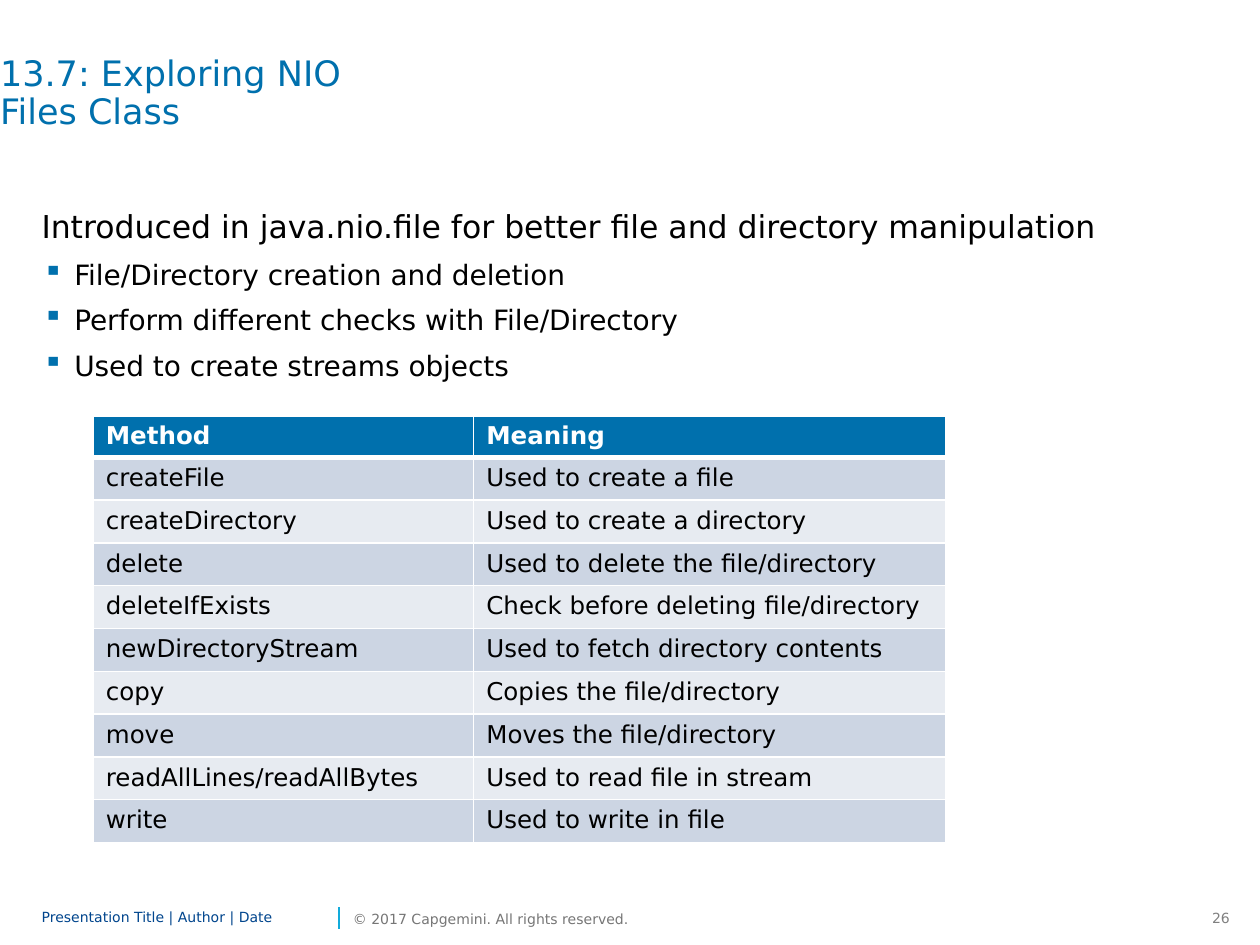
from copy import deepcopy

from lxml import etree
from pptx import Presentation
from pptx.dml.color import RGBColor
from pptx.enum.shapes import MSO_CONNECTOR
from pptx.enum.text import MSO_ANCHOR, MSO_AUTO_SIZE, PP_ALIGN
from pptx.oxml.ns import qn
from pptx.util import Inches, Pt

LEFT, RIGHT = PP_ALIGN.LEFT, PP_ALIGN.RIGHT
TOP, MIDDLE = MSO_ANCHOR.TOP, MSO_ANCHOR.MIDDLE
NO_FIT = MSO_AUTO_SIZE.NONE
STRAIGHT = MSO_CONNECTOR.STRAIGHT

FONT = "DejaVu Sans"
BLUE, WHITE, BLACK = "0070AD", "FFFFFF", "000000"
BANDS = "CCD5E3", "E7EBF1"

LEAD = "Introduced in java.nio.file for better file and directory manipulation"
POINTS = (
    "File/Directory creation and deletion",
    "Perform different checks with File/Directory",
    "Used to create streams objects",
)
ROWS = (
    ("Method", "Meaning"),
    ("createFile", "Used to create a file"),
    ("createDirectory", "Used to create a directory"),
    ("delete", "Used to delete the file/directory"),
    ("deleteIfExists", "Check before deleting file/directory"),
    ("newDirectoryStream", "Used to fetch directory contents"),
    ("copy", "Copies the file/directory"),
    ("move", "Moves the file/directory"),
    ("readAllLines/readAllBytes", "Used to read file in stream"),
    ("write", "Used to write in file"),
)


def color(code):
    """Turn a hex string into a colour."""
    return RGBColor.from_string(code)


def tint(parent, code):
    """Add a plain colour element to an XML parent."""
    etree.SubElement(parent, qn("a:srgbClr"), val=code)


def mark(para, code, left, hang):
    """Give a paragraph a square bullet with a hanging indent."""
    props = para._p.get_or_add_pPr()
    props.set("marL", str(Inches(left)))
    props.set("indent", str(Inches(-hang)))
    tint(etree.SubElement(props, qn("a:buClr")), code)
    etree.SubElement(props, qn("a:buChar"), char="▪")


def put(frame, text, size=14, fill=BLACK, bold=False, align=LEFT,
        line=None, after=None, bullet=None):
    """Write one formatted paragraph into a text frame."""
    para = frame.paragraphs[0]
    if para.text:
        para = frame.add_paragraph()
    para.text = text
    para.alignment = align
    if line:
        para.line_spacing = line
    if after:
        para.space_after = Pt(after)
    if bullet:
        mark(para, bullet, 0.26, 0.25)
    for run in para.runs:
        font = run.font
        font.name, font.size, font.bold = FONT, Pt(size), bold
        font.color.rgb = color(fill)
    for gap in para._p.findall(qn("a:br")):
        gap.append(deepcopy(para.runs[0]._r.rPr))


def edge(cell, side, width):
    """Draw one white border of a table cell."""
    line = etree.SubElement(cell._tc.get_or_add_tcPr(), qn(f"a:{side}"),
                            w=str(Pt(width)))
    tint(etree.SubElement(line, qn("a:solidFill")), WHITE)


class Deck:
    """Hold the style and the current slide."""

    def __init__(self):
        """Start a deck with one title-only slide."""
        self.show = Presentation()
        self.show.slide_width, self.show.slide_height = Inches(10), Inches(7.5)
        self.slide = self.show.slides.add_slide(self.show.slide_layouts[5])
        self.shapes = self.slide.shapes

    def title(self, text, x, y, w, h):
        """Place and fill the title."""
        box = self.shapes.title
        box.left, box.top, box.width, box.height = map(Inches, (x, y, w, h))
        frame = self.frame(box, TOP, 0, 0, True)
        put(frame, text, size=20, fill=BLUE, line=0.9)

    def frame(self, box, anchor, side, rim, wrap):
        """Set up the text frame of a shape."""
        frame = box.text_frame
        frame.auto_size, frame.word_wrap = NO_FIT, wrap
        frame.vertical_anchor = anchor
        frame.margin_left = frame.margin_right = Inches(side)
        frame.margin_top = frame.margin_bottom = Inches(rim)
        return frame

    def box(self, x, y, w, h, anchor=TOP, side=0, rim=0, wrap=True):
        """Add a text box and return its frame."""
        box = self.shapes.add_textbox(*map(Inches, (x, y, w, h)))
        return self.frame(box, anchor, side, rim, wrap)

    def line(self, x1, y1, x2, y2, fill):
        """Add a thin straight line."""
        line = self.shapes.add_connector(
            STRAIGHT, *map(Inches, (x1, y1, x2, y2)))
        line.line.color.rgb, line.line.width = color(fill), Pt(1)
        etree.SubElement(line._element.spPr, qn("a:effectLst"))

    def table(self, rows, x, y, cols, head, high):
        """Add a banded table with a header row."""
        tall = head + high * (len(rows) - 1)
        grid = self.shapes.add_table(
            len(rows), len(cols),
            *map(Inches, (x, y, sum(cols), tall))).table
        for col, wide in zip(grid.columns, cols):
            col.width = Inches(wide)
        for r, row in enumerate(rows):
            top = r == 0
            grid.rows[r].height = Inches(head if top else high)
            for c, text in enumerate(row):
                cell = grid.cell(r, c)
                for side in ("lnL", "lnR", "lnT", "lnB"):
                    thick = (top and side == "lnB") or (r == 1 and side == "lnT")
                    edge(cell, side, 3 if thick else 1)
                cell.fill.solid()
                cell.fill.fore_color.rgb = color(
                    BLUE if top else BANDS[(r - 1) % 2])
                put(cell.text_frame, text, bold=top,
                    fill=WHITE if top else BLACK)


def main():
    """Build the slide and save it."""
    deck = Deck()
    deck.title("13.7: Exploring NIO \vFiles Class", 0, 0.45, 9.33, 0.94)

    body = deck.box(0.33, 1.64, 9.67, 1.5)
    put(body, LEAD, size=18, line=Pt(22), after=6)
    for point in POINTS:
        put(body, point, size=16, line=Pt(20), after=6, bullet=BLUE)

    deck.table(ROWS, 0.74, 3.3, (3.02, 3.75), 0.28, 0.34)

    put(deck.box(0.33, 7.17, 2.32, 0.24, MIDDLE),
        "Presentation Title | Author | Date", size=8, fill="00458D", line=0.85)
    deck.line(2.69, 7.37, 2.69, 7.2, "12ABDB")
    put(deck.box(2.8, 7.17, 1.82, 0.24, MIDDLE, wrap=False),
        "© 2017 Capgemini. All rights reserved.", size=8, fill="767676")
    put(deck.box(9.47, 7.17, 0.39, 0.24, side=0.1, rim=0.05, wrap=False),
        "26", size=8, fill="808080", align=RIGHT)
    deck.show.save("out.pptx")


if __name__ == "__main__":
    main()
